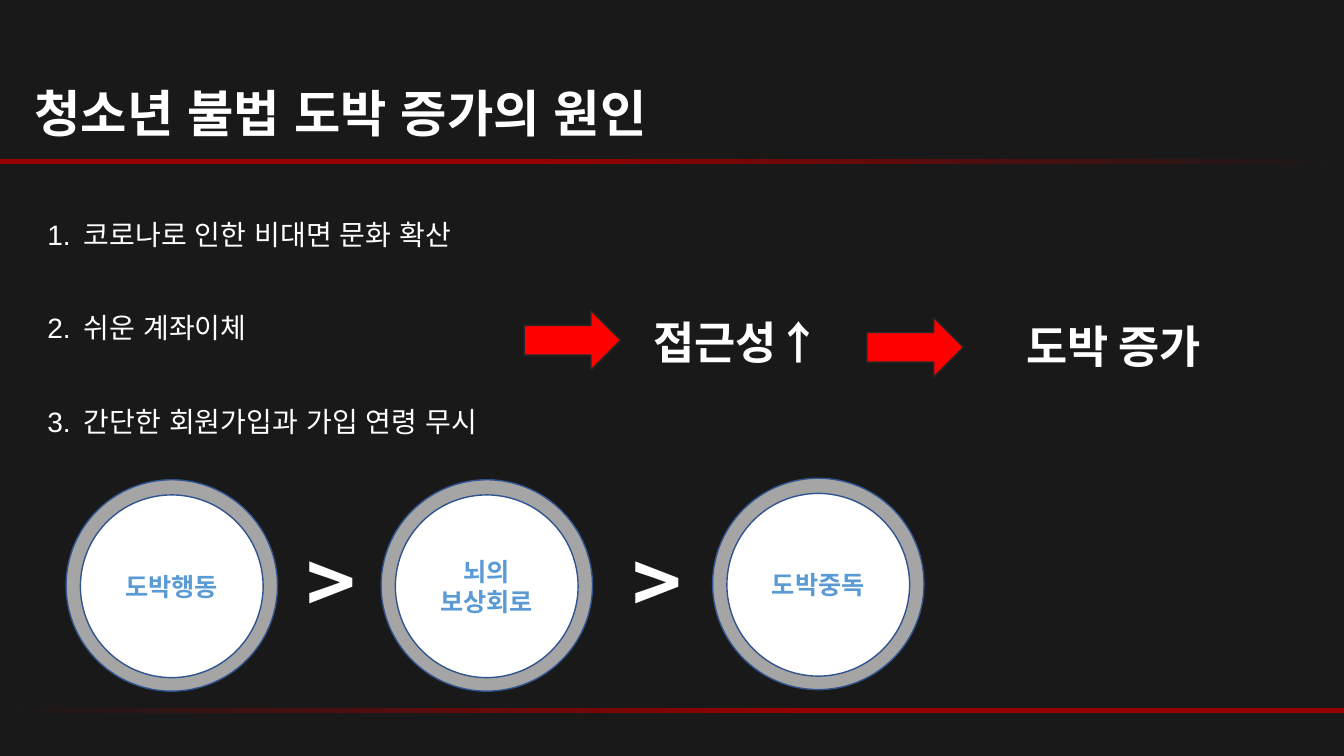
from dataclasses import dataclass

from lxml import etree
from pptx import Presentation
from pptx.dml.color import RGBColor
from pptx.enum import shapes, text
from pptx.oxml import ns
from pptx.util import Pt

ARIAL, NOTO = "Arial", "Noto Sans CJK KR"
WHITE, DARK, CRIMSON = "FFFFFF", "191919", "960000"
RED, CHARCOAL, GREY, NAVY, BLUE = "FF0000", "262626", "A5A5A5", "31538F", "5B9BD5"
RING, DISC = 151, 130.5


@dataclass(frozen=True)
class Bar:
    left: float
    top: float
    stops: tuple[tuple[str, float], ...]


@dataclass(frozen=True)
class Label:
    words: str
    left: float
    top: float
    width: float
    height: float
    size: float


@dataclass(frozen=True)
class Stage:
    lines: tuple[str, ...]
    left: float
    top: float


BARS = (
    Bar(-0.5, 113.8, ((CRIMSON, 0.4), (DARK, 1))),
    Bar(0, 505.4, ((DARK, 0), (CRIMSON, 0.6))),
)
CAUSES = ("코로나로 인한 비대면 문화 확산", "쉬운 계좌이체", "간단한 회원가입과 가입 연령 무시")
ARROWS = ((374.4, 221.8), (619.2, 226.8))
LABELS = (
    Label("접근성↑", 459.4, 221, 170, 46, 32),
    Label("도박 증가", 725.8, 223.9, 170, 46, 32),
    Label(">", 211.7, 375.1, 41, 80, 60),
    Label(">", 445, 375.1, 41, 80, 60),
)
STAGES = (
    Stage(("도박행동",), 47.2, 342.7),
    Stage(("뇌의", "보상회로"), 272.2, 342.7),
    Stage(("도박중독",), 509, 341.6),
)


def colour(hex_value: str) -> RGBColor:
    return RGBColor.from_string(hex_value)


def apply(target, formats: dict) -> None:
    for name, value in formats.items():
        setattr(target, name, value)


def place(shape, left: float, top: float, width: float, height: float) -> None:
    apply(shape, {"left": Pt(left), "top": Pt(top), "width": Pt(width), "height": Pt(height)})


def write(frame, lines: tuple[str, ...], size: float, font: str, tint: str,
          bold: bool, paragraph_formats: dict, anchor=text.MSO_ANCHOR.TOP) -> None:
    apply(frame, {"word_wrap": True, "auto_size": text.MSO_AUTO_SIZE.NONE,
                  "vertical_anchor": anchor, "margin_left": Pt(7.2), "margin_right": Pt(7.2),
                  "margin_top": Pt(3.6), "margin_bottom": Pt(3.6)})
    for index, line in enumerate(lines):
        paragraph = frame.paragraphs[0] if index == 0 else frame.add_paragraph()
        apply(paragraph, paragraph_formats)
        run = paragraph.add_run()
        run.text = line
        apply(run.font, {"size": Pt(size), "name": font, "bold": bold})
        run.font.color.rgb = colour(tint)
        east_asian = etree.SubElement(run.font._element, ns.qn("a:ea"))
        east_asian.set("typeface", font)


def number(frame, hang: float) -> None:
    for paragraph in frame.paragraphs:
        properties = paragraph._p.get_or_add_pPr()
        properties.set("marL", str(Pt(hang)))
        properties.set("indent", str(-Pt(hang)))
        bullet = etree.SubElement(properties, ns.qn("a:buAutoNum"))
        bullet.set("type", "arabicPeriod")


def add_bar(slide, bar: Bar) -> None:
    stripe = slide.shapes.add_shape(
        shapes.MSO_SHAPE.RECTANGLE, Pt(bar.left), Pt(bar.top), Pt(960), Pt(3.6))
    stripe.shadow.inherit = False
    stripe.line.fill.background()
    stripe.fill.gradient()
    stripe.fill.gradient_angle = 0
    for stop, (tint, position) in zip(stripe.fill.gradient_stops, bar.stops):
        stop.color.rgb = colour(tint)
        stop.position = position


def add_solid(slide, kind, left: float, top: float, width: float, height: float,
              fill: str, outline: str):
    solid = slide.shapes.add_shape(kind, Pt(left), Pt(top), Pt(width), Pt(height))
    solid.shadow.inherit = False
    solid.fill.solid()
    solid.fill.fore_color.rgb = colour(fill)
    solid.line.color.rgb = colour(outline)
    solid.line.width = Pt(1)
    return solid


def add_label(slide, label: Label) -> None:
    box = slide.shapes.add_textbox(
        Pt(label.left), Pt(label.top), Pt(label.width), Pt(label.height))
    write(box.text_frame, (label.words,), label.size, NOTO, WHITE, True, {})


def add_stage(slide, stage: Stage) -> None:
    oval = shapes.MSO_SHAPE.OVAL
    inset = (RING - DISC) / 2
    add_solid(slide, oval, stage.left, stage.top, RING, RING, GREY, NAVY)
    disc = add_solid(slide, oval, stage.left + inset, stage.top + inset + 0.6,
                     DISC, DISC, WHITE, NAVY)
    write(disc.text_frame, stage.lines, 18, NOTO, BLUE, True,
          {"alignment": text.PP_ALIGN.CENTER}, text.MSO_ANCHOR.MIDDLE)


def main() -> None:
    deck = Presentation()
    apply(deck, {"slide_width": Pt(960), "slide_height": Pt(540)})
    slide = deck.slides.add_slide(deck.slide_layouts[1])
    slide.background.fill.solid()
    slide.background.fill.fore_color.rgb = colour(DARK)

    for bar in BARS:
        add_bar(slide, bar)

    heading, causes = slide.placeholders
    justified = {"alignment": text.PP_ALIGN.JUSTIFY, "line_spacing": 1.5, "space_before": Pt(0)}
    place(heading, 17.3, 33.8, 503, 65)
    write(heading.text_frame, ("청소년 불법 도박 증가의 원인",), 36, ARIAL, WHITE, True, justified)
    place(causes, 26.6, 139.7, 503, 175)
    write(causes.text_frame, CAUSES, 20, ARIAL, WHITE, False,
          {**justified, "space_after": Pt(30.7)})
    number(causes.text_frame, 26)

    for left, top in ARROWS:
        add_solid(slide, shapes.MSO_SHAPE.RIGHT_ARROW, left, top, 69, 42.5, RED, CHARCOAL)
    for label in LABELS:
        add_label(slide, label)
    for stage in STAGES:
        add_stage(slide, stage)

    deck.save("out.pptx")


if __name__ == "__main__":
    main()
